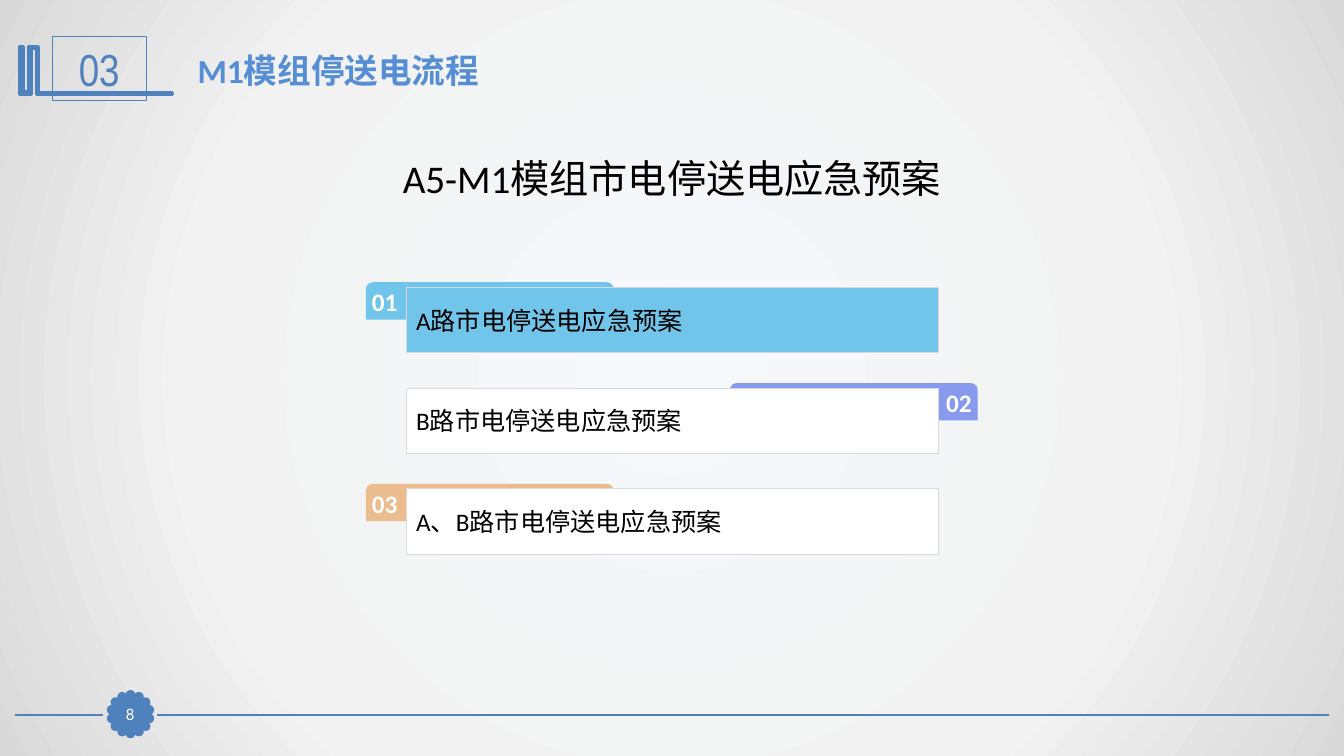
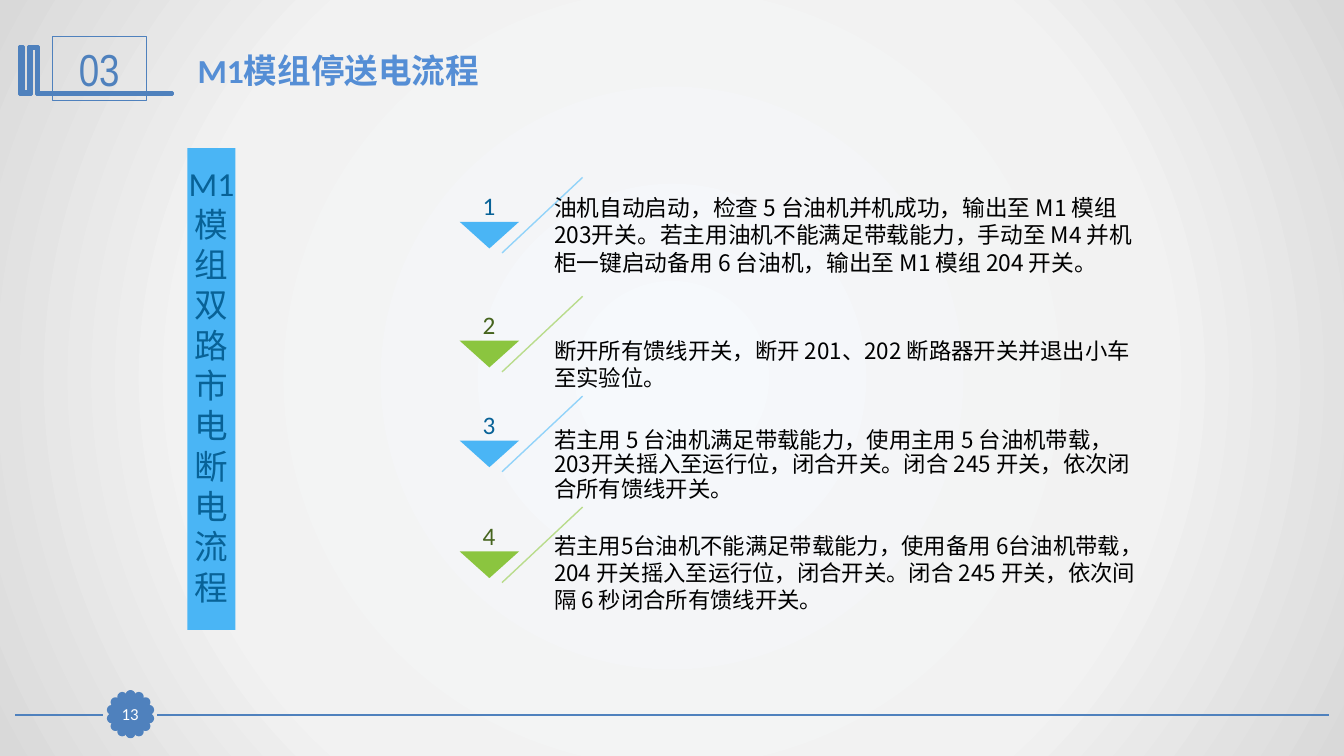
from dataclasses import dataclass
from math import cos, pi, sin

from pptx import Presentation
from pptx.dml.color import RGBColor
from pptx.enum.shapes import MSO_CONNECTOR, MSO_SHAPE
from pptx.enum.text import MSO_ANCHOR, MSO_AUTO_SIZE, PP_ALIGN
from pptx.oxml import parse_xml
from pptx.oxml.ns import nsdecls, qn
from pptx.util import Inches, Pt

STRAIGHT = MSO_CONNECTOR.STRAIGHT
RECTANGLE = MSO_SHAPE.RECTANGLE
ELLIPSE = MSO_SHAPE.OVAL
TAB = MSO_SHAPE.ROUND_2_SAME_RECTANGLE
DOWN_TRIANGLE = MSO_SHAPE.FLOWCHART_MERGE
TOP, MIDDLE, BOTTOM = MSO_ANCHOR.TOP, MSO_ANCHOR.MIDDLE, MSO_ANCHOR.BOTTOM
LEFT, CENTER, RIGHT = PP_ALIGN.LEFT, PP_ALIGN.CENTER, PP_ALIGN.RIGHT
JUSTIFY = PP_ALIGN.JUSTIFY
NO_AUTOFIT = MSO_AUTO_SIZE.NONE


@dataclass(frozen=True)
class Theme:
    """Colours, fonts, type sizes and the grid shared by the slides."""

    columns: float = 133.33
    rows: float = 75
    cell: int = Inches(0.1)
    accent: str = "4F81BD"
    title: str = "558ED5"
    black: str = "000000"
    white: str = "FFFFFF"
    border: str = "D9D9D9"
    sky: str = "72C5EA"
    violet: str = "879AED"
    sand: str = "EABC8E"
    blue: str = "4AB5F5"
    pale_blue: str = "92D3F9"
    dark_blue: str = "086297"
    green: str = "8BC53F"
    pale_green: str = "B9DC8C"
    dark_green: str = "46641E"
    background: tuple = ((0, "F6F9FC"), (63, "F2F2F2"), (100, "D9D9D9"))
    font: str = "Calibri"
    narrow_font: str = "Arial Narrow"
    chinese_font: str = "Noto Sans CJK SC"
    section_size: float = 32
    headline_size: float = 28
    title_size: float = 24
    label_size: float = 18
    body_size: float = 16
    page_size: float = 12


THEME = Theme()
DEFAULT_INSETS = (1, 0.5, 1, 0.5)
NO_INSETS = (0, 0, 0, 0)

BOOKMARK = (
    (37, 46), (38, 46), (38, 92), (171, 92), (171, 94), (36, 94), (36, 48), (31, 48),
    (31, 94), (19, 94), (19, 46), (23, 46), (23, 91), (28, 91), (28, 46),
)
PLANS = (
    ("A路市电停送电应急预案", THEME.sky, THEME.sky),
    ("B路市电停送电应急预案", THEME.violet, THEME.white),
    ("A、B路市电停送电应急预案", THEME.sand, THEME.white),
)
STEP_COLORS = (
    (THEME.blue, THEME.pale_blue, THEME.dark_blue),
    (THEME.green, THEME.pale_green, THEME.dark_green),
)
STEPS = (
    (17.6, 18.9, 8.8, 16.2, 1,
     "油机自动启动，检查 5 台油机并机成功，输出至 M1 模组 203开关。若主用油机不能满足带载能力，"
     "手动至 M4 并机柜一键启动备用 6 台油机，输出至 M1 模组 204 开关。"),
    (29.4, 32.7, 6.8, THEME.body_size, 1,
     "断开所有馈线开关，断开 201、202 断路器开关并退出小车至实验位。"),
    (39.3, 41.9, 8.6, THEME.body_size, 0.9,
     "若主用 5 台油机满足带载能力，使用主用 5 台油机带载，203开关摇入至运行位，闭合开关。"
     "闭合 245 开关，依次闭合所有馈线开关。"),
    (50.3, 51.7, 10.2, THEME.body_size, 1,
     "若主用5台油机不能满足带载能力，使用备用 6台油机带载，204 开关摇入至运行位，闭合开关。"
     "闭合 245 开关，依次间隔 6 秒闭合所有馈线开关。"),
)


def grid(*cells):
    """Convert counts of grid cells to slide lengths."""
    return [round(count * THEME.cell) for count in cells]


def write(shape, text, size, color, font=THEME.font, bold=False, align=LEFT,
          anchor=TOP, insets=DEFAULT_INSETS, spacing=None):
    """Put one formatted paragraph into a shape."""
    frame = shape.text_frame
    frame.word_wrap = True
    frame.auto_size = NO_AUTOFIT
    frame.vertical_anchor = anchor
    (frame.margin_left, frame.margin_top,
     frame.margin_right, frame.margin_bottom) = grid(*insets)
    frame.text = text
    paragraph = frame.paragraphs[0]
    paragraph.alignment = align
    if spacing:
        paragraph.line_spacing = spacing
    paragraph.font.size = Pt(size)
    paragraph.font.bold = bold
    paragraph.font.color.rgb = RGBColor.from_string(color)
    paragraph.font.name = font
    latin = next(paragraph._p.iter(qn("a:latin")))
    latin.addnext(parse_xml(
        f'<a:ea {nsdecls("a")} typeface="{THEME.chinese_font}"/>'))


def paint(shape, fill=None, line=None, width=0.75):
    """Set the fill and outline of a shape and drop its shadow."""
    shape.shadow.inherit = False
    if fill:
        shape.fill.solid()
        shape.fill.fore_color.rgb = RGBColor.from_string(fill)
    else:
        shape.fill.background()
    if line:
        shape.line.color.rgb = RGBColor.from_string(line)
        shape.line.width = Pt(width)
    else:
        shape.line.fill.background()


def add_block(shapes, kind, box, fill=None, line=None, width=0.75):
    """Add a painted preset shape on the grid."""
    shape = shapes.add_shape(kind, *grid(*box))
    paint(shape, fill, line, width)
    return shape


def add_text(shapes, box, text, size, color, **style):
    """Add a text box on the grid."""
    write(shapes.add_textbox(*grid(*box)), text, size, color, **style)


def add_line(shapes, start, end, color, width):
    """Add a straight line without shadow."""
    line = shapes.add_connector(STRAIGHT, *grid(*start, *end))
    line.line.color.rgb = RGBColor.from_string(color)
    line.line.width = Pt(width)
    line._element.spPr.append(parse_xml(f'<a:effectLst {nsdecls("a")}/>'))


def set_background(master):
    """Give the slide master a circular gradient background."""
    stops = "".join(
        f'<a:gs pos="{share * 1000}"><a:srgbClr val="{color}"/></a:gs>'
        for share, color in THEME.background)
    background = parse_xml(
        f'<p:bg {nsdecls("p", "a")}><p:bgPr><a:gradFill rotWithShape="1">'
        f'<a:gsLst>{stops}</a:gsLst><a:path path="circle">'
        '<a:fillToRect l="50000" t="50000" r="50000" b="50000"/></a:path>'
        '</a:gradFill><a:effectLst/></p:bgPr></p:bg>')
    content = master.element.cSld
    content.replace(content.find(qn("p:bg")), background)


def add_page_seal(slide, number):
    """Draw the scalloped page number between the two footer lines."""
    middle, center, radius, petals, petal = 70.85, 12.95, 1.9, 14, 0.7
    for start, end in ((1.5, 10.2), (15.6, 131.8)):
        add_line(slide.shapes, (start, 70.9), (end, 70.9), THEME.accent, 1.25)
    shapes = slide.shapes.add_group_shape().shapes
    for index in range(petals):
        angle = 2 * pi * index / petals
        left = center + radius * sin(angle) - petal / 2
        top = middle - radius * cos(angle) - petal / 2
        add_block(shapes, ELLIPSE, (left, top, petal, petal),
                  THEME.accent, THEME.accent, 2)
    core = add_block(slide.shapes, RECTANGLE, (11.3, 69.3, 3.2, 3.1),
                     THEME.accent, THEME.accent)
    write(core, str(number), THEME.page_size, THEME.white, align=CENTER,
          anchor=MIDDLE, insets=NO_INSETS)


def add_section_mark(slide, section):
    """Draw the bookmark outline and the framed section number."""
    builder = slide.shapes.build_freeform(*BOOKMARK[0], scale=THEME.cell / 10)
    builder.add_line_segments(BOOKMARK[1:], close=True)
    paint(builder.convert_to_shape(), THEME.accent, THEME.accent, 2)
    frame = add_block(slide.shapes, RECTANGLE, (5.2, 3.6, 9.3, 6.4), line=THEME.accent)
    write(frame, section, THEME.section_size, THEME.accent, font=THEME.narrow_font,
          align=CENTER, anchor=MIDDLE)


def add_slide(presentation, number):
    """Add a slide with the shared title, section mark and footer."""
    slide = presentation.slides.add_slide(presentation.slide_layouts[5])
    add_page_seal(slide, number)
    add_section_mark(slide, "03")
    title = slide.shapes.title
    title.left, title.top, title.width, title.height = grid(18.6, 4.4, 96.9, 5)
    write(title, "M1模组停送电流程", THEME.title_size, THEME.title, bold=True)
    return slide


def add_plan(slide, index, text, tab_color, card_color):
    """Add a plan card whose numbered tab alternates sides."""
    shapes = slide.shapes.add_group_shape().shapes
    top = 28 + 10 * index
    on_right = index % 2 == 1
    tab = add_block(shapes, TAB, (72.4 if on_right else 36.3, top, 24.6, 3.7), tab_color)
    tab.adjustments[0], tab.adjustments[1] = 0.19, 0
    write(tab, f"{index + 1:02}", THEME.label_size, THEME.white, bold=True,
          align=RIGHT if on_right else JUSTIFY, anchor=MIDDLE,
          insets=(1, 0, 0.4, 0) if on_right else (0.4, 0, 1, 0))
    card = add_block(shapes, RECTANGLE, (40.3, top + 0.5, 52.8, 6.5),
                     card_color, THEME.border)
    write(card, text, THEME.label_size, THEME.black, align=JUSTIFY, anchor=MIDDLE)


def add_step(slide, index, top, text_top, text_height, size, spacing, text):
    """Add a numbered step with its marker, slanted line and text."""
    shapes = slide.shapes.add_group_shape().shapes
    fill, pale, dark = STEP_COLORS[index % 2]
    add_line(shapes, (57.8, top), (49.8, top + 7.5), pale, 1)
    add_block(shapes, DOWN_TRIANGLE, (45.6, top + 4.4, 5.9, 2.65), fill)
    add_text(shapes, (54, text_top, 60.7, text_height), text, size, THEME.black,
             font=THEME.chinese_font, anchor=MIDDLE, spacing=spacing)
    add_text(shapes, (45.4, top - 1.7, 6.2, 6), str(index + 1), THEME.label_size, dark,
             align=CENTER, anchor=BOTTOM, insets=NO_INSETS)


def build_plans(presentation):
    """Build the overview of emergency plans."""
    slide = add_slide(presentation, 8)
    add_text(slide.shapes, (0, 14.8, THEME.columns, 5.7), "A5-M1模组市电停送电应急预案",
             THEME.headline_size, THEME.black, align=CENTER)
    for index, plan in enumerate(PLANS):
        add_plan(slide, index, *plan)


def build_steps(presentation):
    """Build the steps of the power failure procedure."""
    slide = add_slide(presentation, 13)
    for index, step in enumerate(STEPS):
        add_step(slide, index, *step)
    banner = add_block(slide.shapes, RECTANGLE, (18.6, 14.7, 4.75, 47.8), THEME.blue)
    write(banner, "M1 模组双路市电断电流程", THEME.title_size, THEME.dark_blue,
          align=CENTER, anchor=MIDDLE, insets=(0, 0, 0, 0.8))


def main():
    """Build and save the presentation."""
    presentation = Presentation()
    presentation.slide_width, presentation.slide_height = grid(THEME.columns, THEME.rows)
    set_background(presentation.slide_master)
    build_plans(presentation)
    build_steps(presentation)
    presentation.save("out.pptx")


if __name__ == "__main__":
    main()
